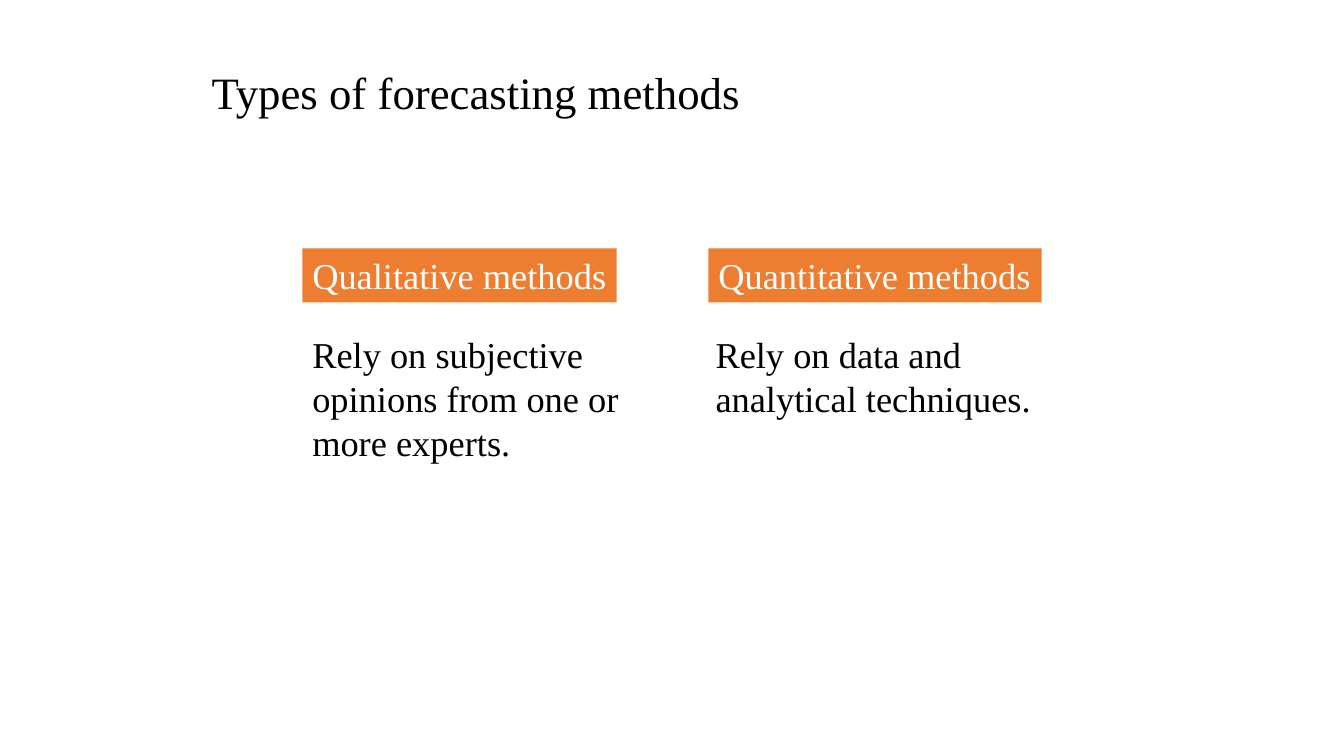
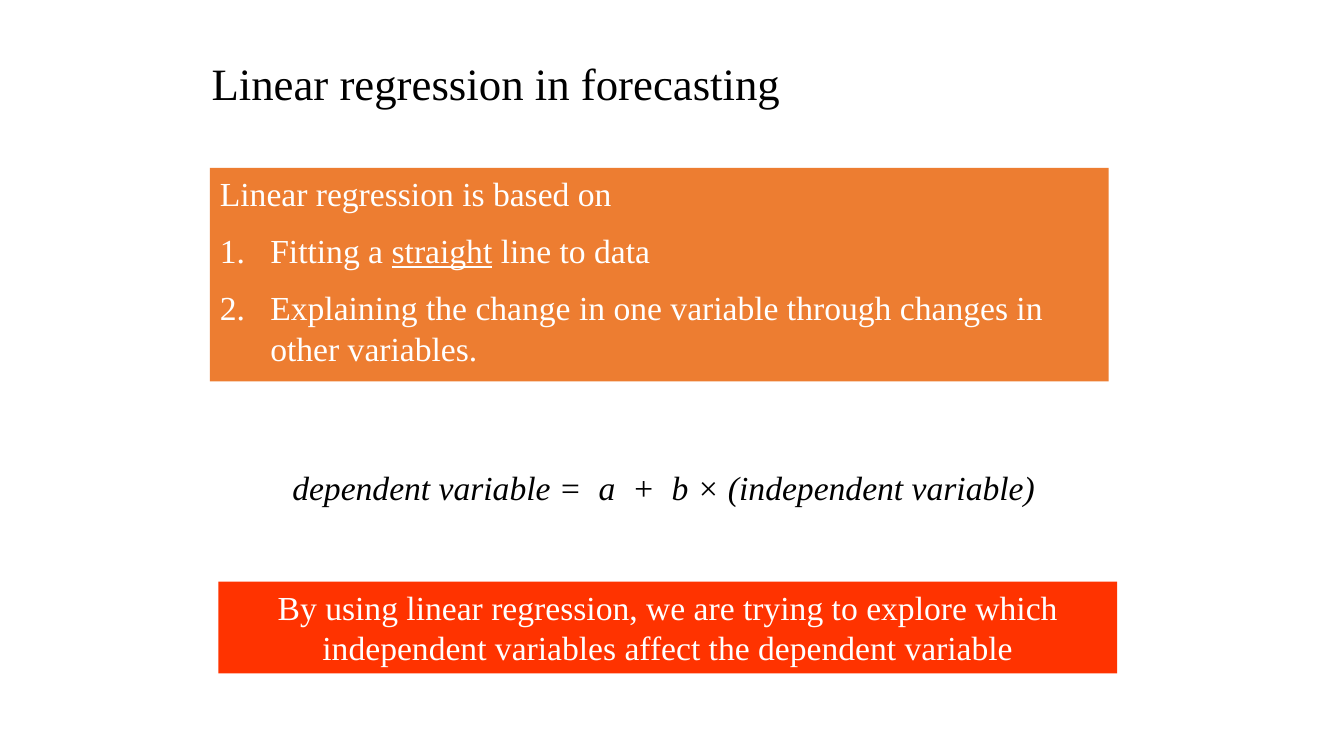
import pptx
import pptx.util
import pptx.dml.color
import pptx.enum.shapes
import pptx.enum.text
from lxml import etree

Pt = pptx.util.Pt
ALIGN = pptx.enum.text.PP_ALIGN
FONT = "Times New Roman"
BLACK, WHITE, ORANGE, RED = "000000", "FFFFFF", "ED7D31", "FF3300"
BODY, SMALL = 26, 24
GAP = 12
HANG = 36


def color(code):
    return pptx.dml.color.RGBColor.from_string(code)


def style(para, size, ink, align=ALIGN.LEFT):
    para.alignment = align
    para.font.name = FONT
    para.font.size = Pt(size)
    para.font.color.rgb = color(ink)


def text(slide, place, words, size, align=ALIGN.LEFT):
    box = slide.shapes.add_textbox(*map(Pt, place))
    box.text_frame.word_wrap = True
    para = box.text_frame.paragraphs[0]
    para.text = words
    style(para, size, BLACK, align)
    return para


def title(slide, top, words):
    text(slide, (144, top, 660, 45), words, 32)


def panel(slide, place, fill, words="", size=SMALL, align=ALIGN.LEFT, wrap=True):
    kind = pptx.enum.shapes.MSO_SHAPE.RECTANGLE
    box = slide.shapes.add_shape(kind, *map(Pt, place))
    box.shadow.inherit = False
    box.fill.solid()
    box.fill.fore_color.rgb = color(fill)
    box.line.fill.background()
    frame = box.text_frame
    frame.word_wrap = wrap
    frame.vertical_anchor = pptx.enum.text.MSO_ANCHOR.TOP
    if words:
        frame.text = words
        style(frame.paragraphs[0], size, WHITE, align)
    return frame


def steps(frame, lead, items):
    for spot, parts in enumerate([[lead], *items]):
        para = frame.add_paragraph() if spot else frame.paragraphs[0]
        props = para._p.get_or_add_pPr()
        props.set("marL", str(Pt(HANG)))
        props.set("indent", str(-Pt(HANG)))
        if spot:
            para.space_before = Pt(GAP)
            tag = pptx.oxml.ns.qn("a:buAutoNum")
            etree.SubElement(props, tag, type="arabicPeriod")
        style(para, SMALL, WHITE)
        for place, part in enumerate(parts):
            run = para.add_run()
            run.text = part
            if place % 2:
                run.font.underline = True


def formula(slide, place, terms):
    para = text(slide, place, "", SMALL, ALIGN.CENTER)
    para.font.italic = True
    for spot, term in enumerate(terms):
        if spot:
            space = para.add_run()
            space.text = " "
            space._r.get_or_add_rPr().set("spc", "600")
        para.add_run().text = term


def methods(slide):
    title(slide, 42.5, "Types of forecasting methods")
    columns = [
        (216, 224.5, "Qualitative methods", 216, 282,
         "Rely on subjective opinions from one or more experts."),
        (506, 238, "Quantitative methods", 504, 276,
         "Rely on data and analytical techniques."),
    ]
    for left, width, head, edge, span, words in columns:
        panel(slide, (left, 177.5, width, 38.5), ORANGE, head, BODY, wrap=False)
        text(slide, (edge, 234, span, 70), words, BODY)


def linear(slide):
    title(slide, 36, "Linear regression in forecasting")
    frame = panel(slide, (150, 120, 642, 152.5), ORANGE)
    steps(frame, "Linear regression is based on", [
        ["Fitting a ", "straight", " line to data"],
        ["Explaining the change in one variable through changes in other variables."],
    ])
    formula(slide, (156, 330, 636, 36), [
        "dependent variable =", "a", "+", "b × (independent variable)",
    ])
    panel(slide, (156, 415.5, 642, 65.5), RED,
          "By using linear regression, we are trying to explore which "
          "independent variables affect the dependent variable",
          align=ALIGN.CENTER)


def main():
    deck = pptx.Presentation()
    deck.slide_width, deck.slide_height = Pt(960), Pt(540)
    for build in (methods, linear):
        build(deck.slides.add_slide(deck.slide_layouts[6]))
    deck.save("out.pptx")


if __name__ == "__main__":
    main()
